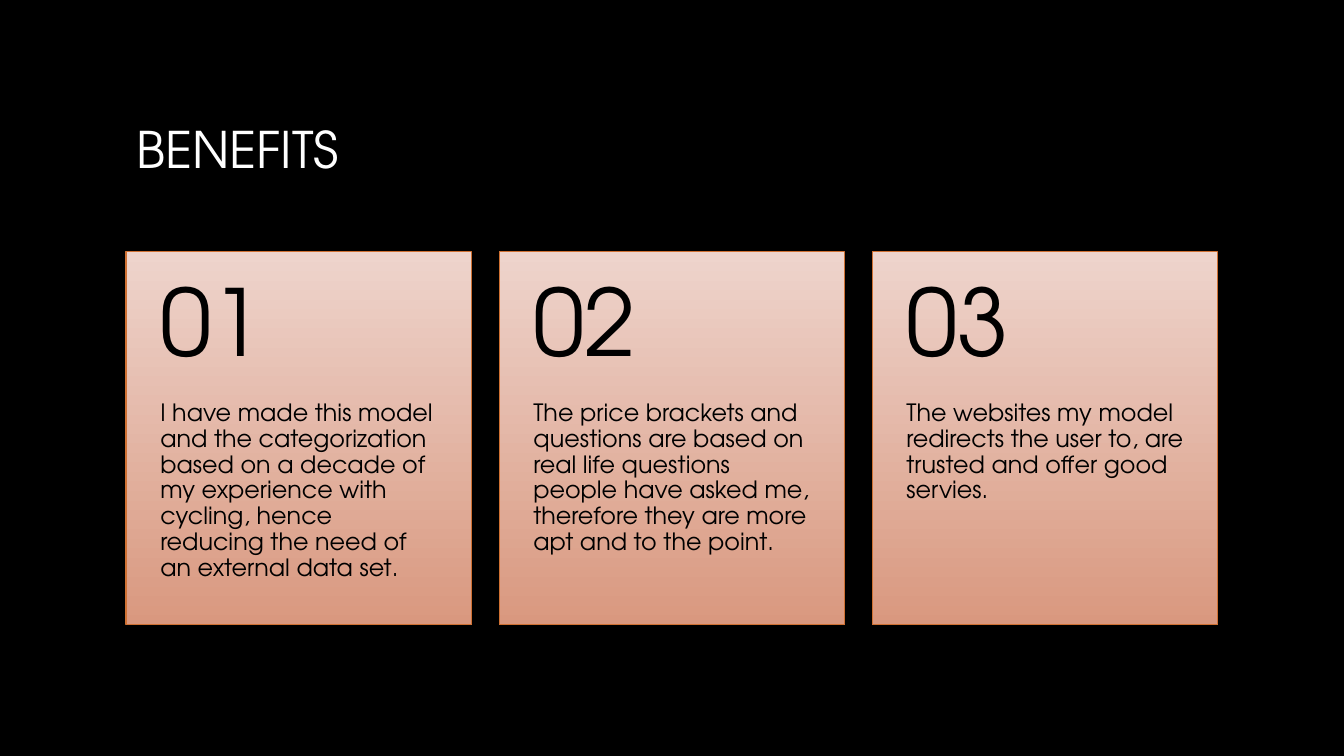
from dataclasses import dataclass

from pptx import Presentation
from pptx.dml.color import RGBColor
from pptx.enum.shapes import MSO_SHAPE
from pptx.enum.text import MSO_ANCHOR, PP_ALIGN
from pptx.util import Inches, Pt


@dataclass(frozen=True)
class Theme:
    font: str = "TeX Gyre Adventor"
    background: RGBColor = RGBColor(0, 0, 0)
    title: RGBColor = RGBColor(255, 255, 255)
    text: RGBColor = RGBColor(0, 0, 0)
    card_top: RGBColor = RGBColor(0xEE, 0xD4, 0xCC)
    card_bottom: RGBColor = RGBColor(0xD9, 0x98, 0x7F)
    card_line: RGBColor = RGBColor(0xCF, 0x71, 0x33)
    title_size: int = 36
    number_size: int = 66
    body_size: int = 17


THEME = Theme()
BENEFITS = [
    "I have made this model and the categorization based on a decade of my "
    "experience with cycling, hence reducing the need of an external data set.",
    "The price brackets and questions are based on real life questions people "
    "have asked me, therefore they are more apt and to the point.",
    "The websites my model redirects the user to, are trusted and offer good servies.",
]


def style_paragraph(para, size, color):
    para.alignment = PP_ALIGN.LEFT
    para.font.name = THEME.font
    para.font.size = Pt(size)
    para.font.color.rgb = color


def add_title(page, left, top, width, height, text):
    title = page.shapes.title
    title.left, title.top = Inches(left), Inches(top)
    title.width, title.height = Inches(width), Inches(height)
    title.text_frame.text = text
    title.text_frame.vertical_anchor = MSO_ANCHOR.MIDDLE
    style_paragraph(title.text_frame.paragraphs[0], THEME.title_size, THEME.title)


def add_card_text(card, left, top, width, height, text, size, anchor, inset_top, inset_bottom):
    box = card.shapes.add_textbox(Inches(left), Inches(top), Inches(width), Inches(height))
    frame = box.text_frame
    frame.word_wrap = True
    frame.vertical_anchor = anchor
    frame.margin_left = frame.margin_right = Inches(0.34)
    frame.margin_top, frame.margin_bottom = Inches(inset_top), Inches(inset_bottom)
    frame.text = text
    para = frame.paragraphs[0]
    para.line_spacing = 0.9
    style_paragraph(para, size, THEME.text)


def add_card(page, left, top, width, height, number, text):
    card = page.shapes.add_group_shape()
    panel = card.shapes.add_shape(
        MSO_SHAPE.RECTANGLE, Inches(left), Inches(top), Inches(width), Inches(height)
    )
    panel.shadow.inherit = False
    panel.fill.gradient()
    panel.fill.gradient_angle = 270
    for stop, color in zip(panel.fill.gradient_stops, (THEME.card_top, THEME.card_bottom)):
        stop.color.rgb = color
    panel.line.color.rgb = THEME.card_line
    panel.line.width = Pt(0.75)

    header = height * 0.4
    add_card_text(card, left, top + header, width, height - header, text,
                  THEME.body_size, MSO_ANCHOR.TOP, 0, 0.36)
    add_card_text(card, left, top, width, header, f"{number:02d}",
                  THEME.number_size, MSO_ANCHOR.MIDDLE, 0.18, 0.18)


def add_cards(page, left, top, width, height, gap):
    card_width = (width - gap * (len(BENEFITS) - 1)) / len(BENEFITS)
    for index, text in enumerate(BENEFITS):
        card_left = left + index * (card_width + gap)
        add_card(page, card_left, top, card_width, height, index + 1, text)


def main():
    deck = Presentation()
    deck.slide_width, deck.slide_height = Inches(13.33), Inches(7.5)
    page = deck.slides.add_slide(deck.slide_layouts[5])
    page.background.fill.solid()
    page.background.fill.fore_color.rgb = THEME.background
    add_title(page, 1.25, 0.67, 10.83, 1.61, "BENEFITS")
    add_cards(page, 1.25, 2.5, 10.83, 3.7, 0.27)
    deck.save("out.pptx")


if __name__ == "__main__":
    main()
